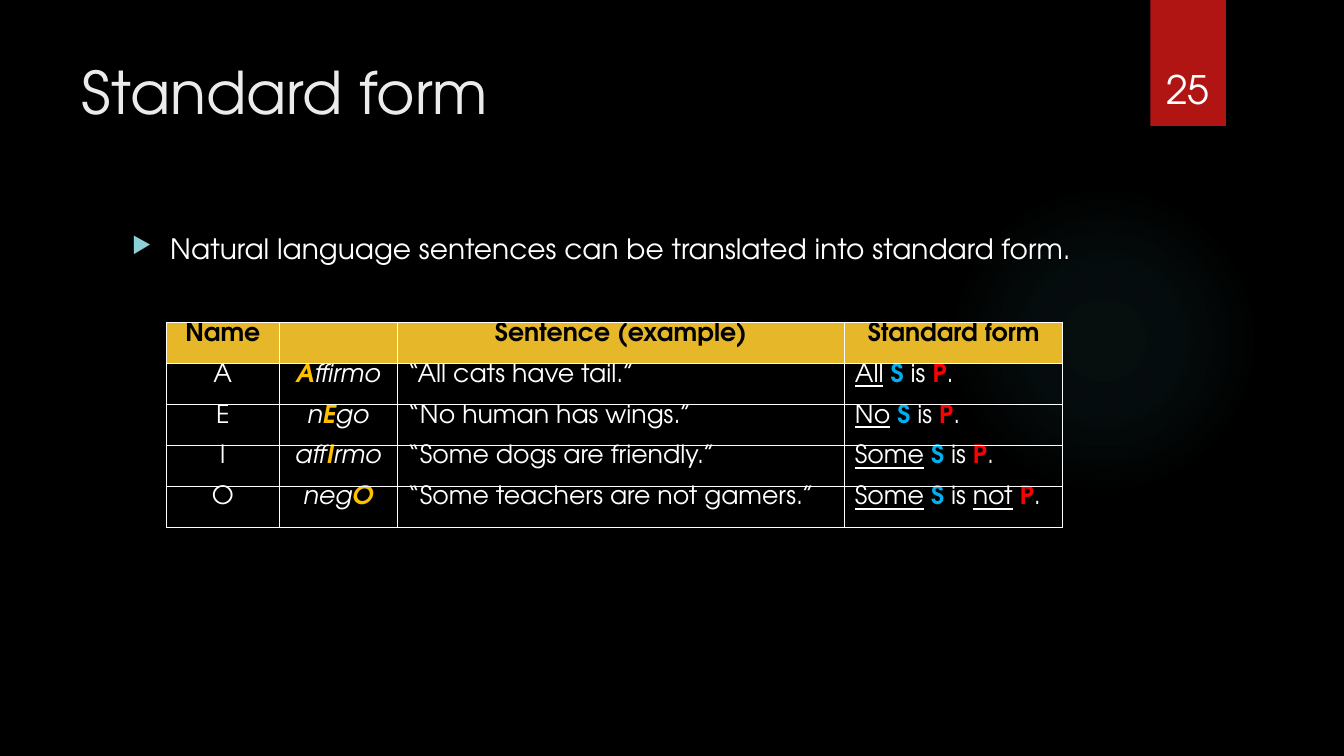
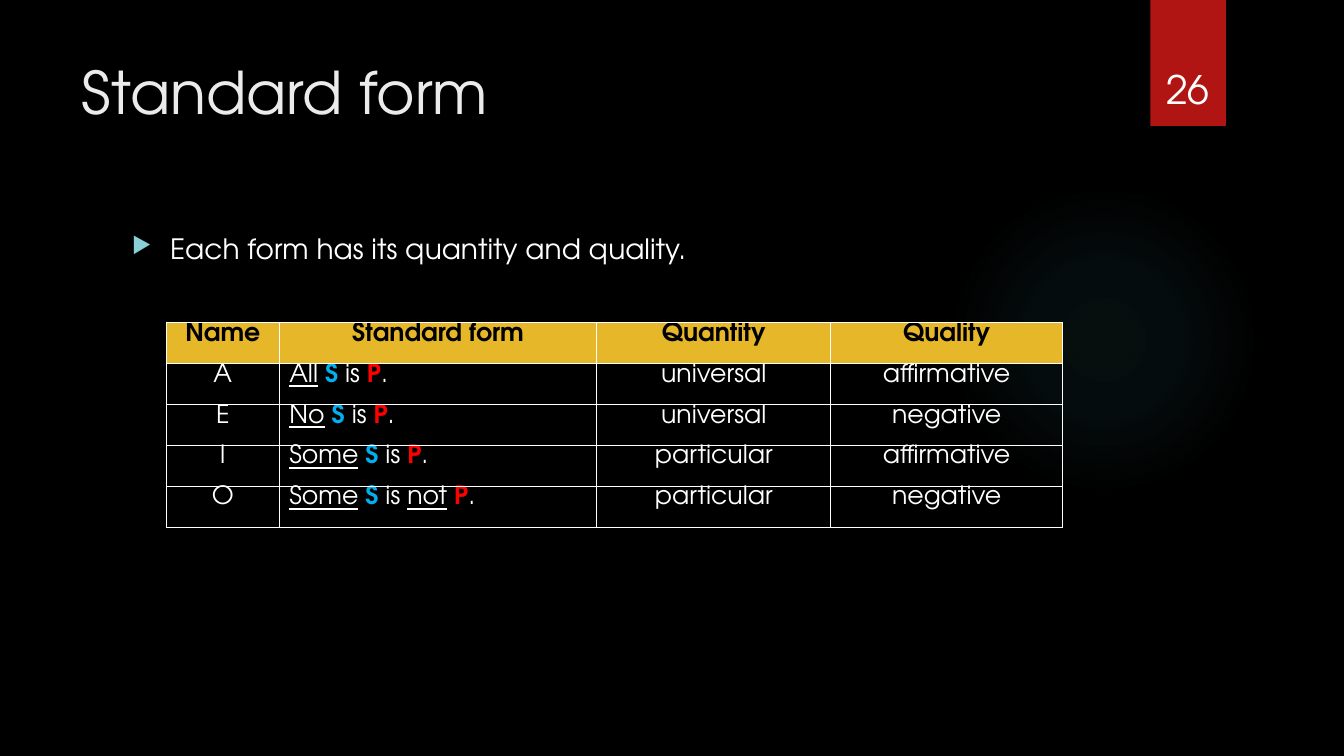
from lxml import etree
from pptx import Presentation
from pptx.dml.color import RGBColor
from pptx.enum.shapes import MSO_SHAPE
from pptx.enum.text import MSO_ANCHOR, PP_ALIGN
from pptx.oxml import parse_xml
from pptx.oxml.ns import nsdecls, qn
from pptx.util import Inches, Pt

LEFT, CENTER = PP_ALIGN.LEFT, PP_ALIGN.CENTER
TOP, BOTTOM = MSO_ANCHOR.TOP, MSO_ANCHOR.BOTTOM
OVAL, RECTANGLE = MSO_SHAPE.OVAL, MSO_SHAPE.RECTANGLE

FONT = "TeX Gyre Adventor"
BLACK = RGBColor(0x00, 0x00, 0x00)
WHITE = RGBColor(0xFF, 0xFF, 0xFF)
TITLE_GREY = RGBColor(0xEB, 0xEB, 0xEB)
RIBBON_RED = RGBColor(0xB0, 0x15, 0x13)
HEADER_GOLD = RGBColor(0xE6, 0xB7, 0x29)
LETTER_GOLD = RGBColor(0xFF, 0xC0, 0x00)
SUBJECT_BLUE = RGBColor(0x00, 0xB0, 0xF0)
PREDICATE_RED = RGBColor(0xFF, 0x00, 0x00)
BULLET_TEAL = RGBColor(0x8A, 0xD0, 0xD6)
GLOW_TEAL = RGBColor(0x50, 0xB9, 0xC1)

GLOW_STOPS = [(0, 7), (36, 6), (69, 0)]
ROW_HEIGHT = 0.406
FORMS = [("A", "All", False), ("E", "No", False), ("I", "Some", False), ("O", "Some", True)]


def add_text(paragraph, text, size=18, color=WHITE, bold=False, italic=False, underline=False):
    run = paragraph.add_run()
    run.text = text
    font = run.font
    font.name = FONT
    font.size = Pt(size)
    font.color.rgb = color
    font.bold, font.italic, font.underline = bold, italic, underline


def place(shape, left, top, width, height):
    shape.left, shape.top = Inches(left), Inches(top)
    shape.width, shape.height = Inches(width), Inches(height)


def text_frame_of(shape, anchor=TOP):
    frame = shape.text_frame
    frame.word_wrap = True
    frame.vertical_anchor = anchor
    return frame


def add_plain_shape(slide, kind, left, top, width, height):
    shape = slide.shapes.add_shape(kind, *map(Inches, (left, top, width, height)))
    shape.shadow.inherit = False
    shape.line.fill.background()
    return shape


def add_glow(slide):
    glow = add_plain_shape(slide, OVAL, 9.41, 1.83, 3.08, 3.08)
    stops = "".join(
        f'<a:gs pos="{position * 1000}"><a:srgbClr val="{GLOW_TEAL}">'
        f'<a:alpha val="{opacity * 1000}"/></a:srgbClr></a:gs>'
        for position, opacity in GLOW_STOPS)
    gradient = parse_xml(
        f'<a:gradFill {nsdecls("a")} rotWithShape="1"><a:gsLst>{stops}</a:gsLst>'
        '<a:path path="circle"><a:fillToRect l="50000" t="50000" r="50000" b="50000"/>'
        '</a:path></a:gradFill>')
    glow._element.spPr.find(qn("a:prstGeom")).addnext(gradient)


def add_page_number(slide, number):
    ribbon = add_plain_shape(slide, RECTANGLE, 11.41, 0, 0.75, 1.25)
    ribbon.fill.solid()
    ribbon.fill.fore_color.rgb = RIBBON_RED
    label = slide.shapes.add_textbox(*map(Inches, (11.32, 0.32, 0.92, 0.84)))
    paragraph = text_frame_of(label, BOTTOM).paragraphs[0]
    paragraph.alignment = CENTER
    add_text(paragraph, str(number), size=28)


def add_title(slide, text):
    title = slide.shapes.title
    place(title, 0.71, 0.5, 10.29, 1.53)
    paragraph = text_frame_of(title).paragraphs[0]
    paragraph.alignment = LEFT
    add_text(paragraph, text, size=42, color=TITLE_GREY)


def add_bullet(slide, text):
    body = slide.shapes.add_textbox(*map(Inches, (1.21, 2.25, 9.78, 4.59)))
    paragraph = text_frame_of(body).paragraphs[0]
    paragraph.space_before = Pt(10)
    properties = paragraph._p.get_or_add_pPr()
    properties.set("marL", str(Inches(0.38)))
    properties.set("indent", str(-Inches(0.38)))
    color = etree.SubElement(properties, qn("a:buClr"))
    etree.SubElement(color, qn("a:srgbClr"), val=str(BULLET_TEAL))
    etree.SubElement(properties, qn("a:buSzPct"), val="80000")
    etree.SubElement(properties, qn("a:buChar"), char="▶")
    add_text(paragraph, text, size=20)


def set_borders(cell):
    properties = cell._tc.get_or_add_tcPr()
    for position, side in enumerate(("lnL", "lnR", "lnT", "lnB")):
        properties.insert(position, parse_xml(
            f'<a:{side} {nsdecls("a")} w="{Pt(1)}"><a:solidFill>'
            f'<a:srgbClr val="{WHITE}"/></a:solidFill></a:{side}>'))


def fill_cell(cell, runs, alignment, fill=None):
    cell.margin_top = cell.margin_bottom = 0
    if fill is None:
        cell.fill.background()
    else:
        cell.fill.solid()
        cell.fill.fore_color.rgb = fill
    set_borders(cell)
    paragraph = cell.text_frame.paragraphs[0]
    paragraph.alignment = alignment
    for text, style in runs:
        add_text(paragraph, text, **style)


def add_form_table(slide, headers, widths, alignments, rows):
    table = slide.shapes.add_table(
        len(rows) + 1, len(headers), Inches(1.65), Inches(3.2),
        Inches(sum(widths)), Inches(ROW_HEIGHT * (len(rows) + 1))).table
    table.first_row = table.horz_banding = False
    for column, width in zip(table.columns, widths):
        column.width = Inches(width)
    for row in table.rows:
        row.height = Inches(ROW_HEIGHT)
    for column, header in enumerate(headers):
        runs = [(header, dict(color=BLACK, bold=True))] if header else []
        fill_cell(table.cell(0, column), runs, CENTER, HEADER_GOLD)
    for row, contents in enumerate(rows, 1):
        for column, (runs, alignment) in enumerate(zip(contents, alignments)):
            fill_cell(table.cell(row, column), runs, alignment)


def plain(text):
    return [(text, {})]


def mnemonic(before, letter, after):
    parts = [(before, dict(italic=True)),
             (letter, dict(italic=True, bold=True, color=LETTER_GOLD)),
             (after, dict(italic=True))]
    return [part for part in parts if part[0]]


def standard_form(quantifier, negated):
    negation = [("not", dict(underline=True)), (" ", {})] if negated else []
    return [(quantifier, dict(underline=True)), (" ", {}),
            ("S", dict(bold=True, color=SUBJECT_BLUE)), (" is ", {}), *negation,
            ("P", dict(bold=True, color=PREDICATE_RED)), (".", {})]


def add_form_slide(prs, number, statement):
    slide = prs.slides.add_slide(prs.slide_layouts[5])
    add_glow(slide)
    add_page_number(slide, number)
    add_title(slide, "Standard form")
    add_bullet(slide, statement)
    return slide


def main():
    prs = Presentation()
    prs.slide_width, prs.slide_height = Inches(13.33), Inches(7.5)
    background = prs.slide_master.background.fill
    background.solid()
    background.fore_color.rgb = BLACK

    examples = [
        (("", "A", "ffirmo"), "“All cats have tail.”"),
        (("n", "E", "go"), "“No human has wings.”"),
        (("aff", "I", "rmo"), "“Some dogs are friendly.”"),
        (("neg", "O", ""), "“Some teachers are not gamers.”"),
    ]
    translation = add_form_slide(
        prs, 25, "Natural language sentences can be translated into standard form.")
    add_form_table(
        translation, ["Name", "", "Sentence (example)", "Standard form"],
        [1.12, 1.17, 4.44, 2.16], [CENTER, CENTER, LEFT, LEFT],
        [[plain(name), mnemonic(*word), plain(sentence), standard_form(quantifier, negated)]
         for (name, quantifier, negated), (word, sentence) in zip(FORMS, examples)])

    classes = [("universal", "affirmative"), ("universal", "negative"),
               ("particular", "affirmative"), ("particular", "negative")]
    classification = add_form_slide(prs, 26, "Each form has its quantity and quality.")
    add_form_table(
        classification, ["Name", "Standard form", "Quantity", "Quality"],
        [1.12, 3.15, 2.32, 2.3], [CENTER, LEFT, CENTER, CENTER],
        [[plain(name), standard_form(quantifier, negated), plain(quantity), plain(quality)]
         for (name, quantifier, negated), (quantity, quality) in zip(FORMS, classes)])

    prs.save("out.pptx")


if __name__ == "__main__":
    main()
